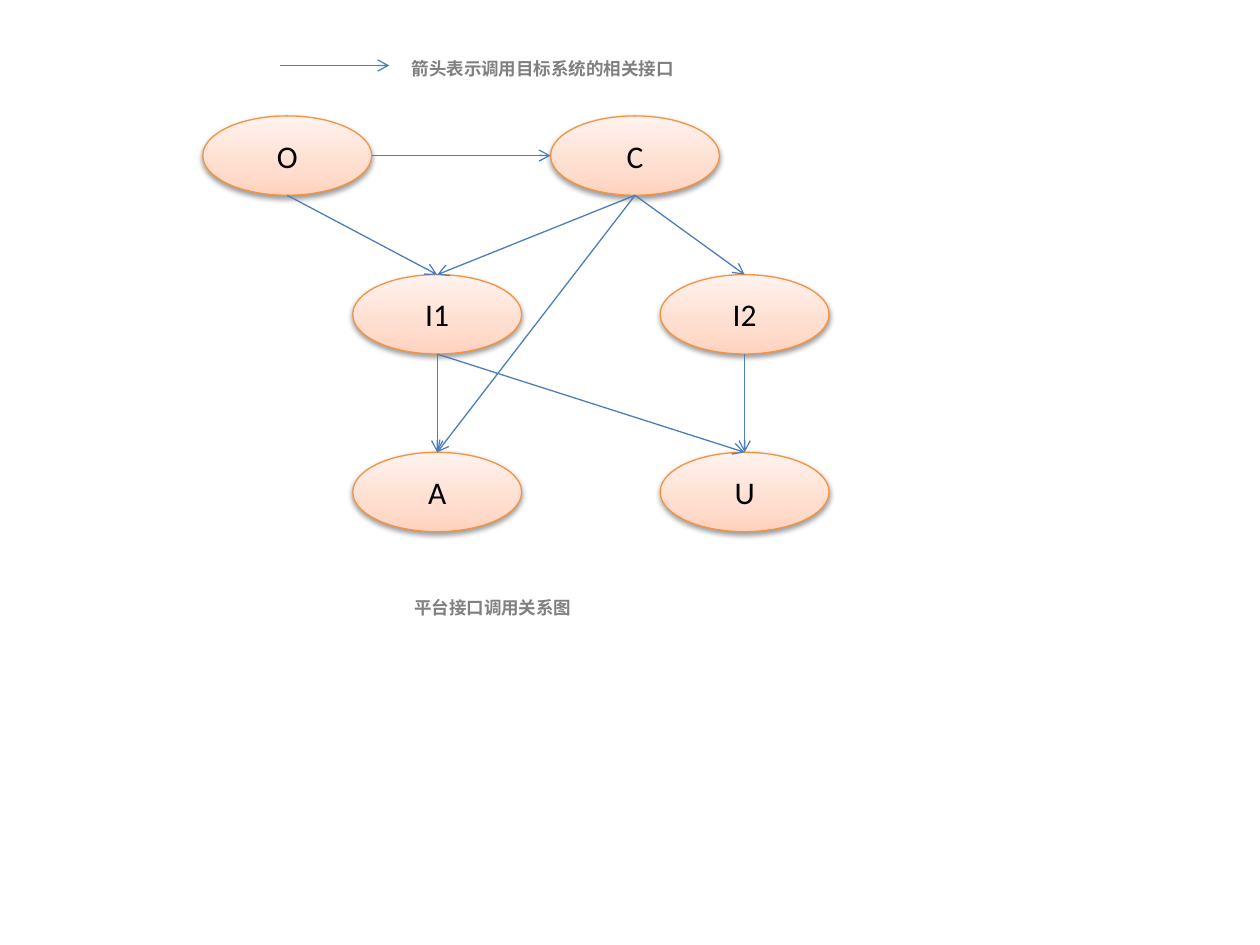
from pptx import Presentation
from pptx.dml.color import RGBColor
from pptx.enum.shapes import MSO_CONNECTOR, MSO_SHAPE
from pptx.enum.text import MSO_ANCHOR, MSO_AUTO_SIZE, PP_ALIGN
from pptx.oxml import parse_xml
from pptx.oxml.ns import nsdecls
from pptx.util import Inches, Pt

# Content: system name -> left and top in inches
ROWS = (0.92, 2.18, 3.59)
SYSTEMS = {
    "C": (4.37, ROWS[0]), "O": (1.61, ROWS[0]),
    "I2": (5.24, ROWS[1]), "I1": (2.8, ROWS[1]),
    "U": (5.24, ROWS[2]), "A": (2.8, ROWS[2]),
}
CALLS = [("O", "C"), ("O", "I1"), ("I1", "A"), ("I1", "U"),
         ("C", "I1"), ("I2", "U"), ("C", "I2"), ("C", "A")]
LEGEND_ARROW = ((2.22, 0.52), (3.09, 0.52))
LABELS = [("箭头表示调用目标系统的相关接口", 3.17, 0.41, 2.31),
          ("平台接口调用关系图", 3.19, 4.69, 1.46)]

# Style
WIDTH, HEIGHT, LABEL_HEIGHT = 1.34, 0.63, 0.27
FONT = "Calibri"
BLACK = RGBColor(0x00, 0x00, 0x00)
GREY = RGBColor(0x80, 0x80, 0x80)
ORANGE = RGBColor(0xF6, 0x92, 0x40)
BLUE = RGBColor(0x4B, 0x7E, 0xBC)
PEACH_STOPS = [(0, "FFD2BD"), (35, "FFDED0"), (100, "FFF2ED")]

presentation = Presentation()
presentation.slide_width, presentation.slide_height = Inches(10), Inches(7.5)
slide = presentation.slides.add_slide(presentation.slide_layouts[6])


def format_text(paragraph, text, size, color, bold=False):
    paragraph.text = text
    font = paragraph.font
    font.name, font.size, font.bold = FONT, Pt(size), bold
    font.color.rgb = color


def add_system(name, left, top):
    shape = slide.shapes.add_shape(MSO_SHAPE.OVAL, Inches(left), Inches(top),
                                   Inches(WIDTH), Inches(HEIGHT))
    shape.line.color.rgb = ORANGE
    shape.line.width = Pt(0.75)
    # Three-stop gradient and soft shadow below
    stops = "".join(f'<a:gs pos="{position * 1000}"><a:srgbClr val="{color}"/></a:gs>'
                    for position, color in PEACH_STOPS)
    properties = shape.element.spPr
    properties.insert(2, parse_xml(
        f'<a:gradFill {nsdecls("a")} rotWithShape="1"><a:gsLst>{stops}</a:gsLst>'
        '<a:lin ang="16200000" scaled="1"/></a:gradFill>'))
    properties.append(parse_xml(
        f'<a:effectLst {nsdecls("a")}><a:outerShdw blurRad="{Pt(3.1)}" dist="{Pt(1.6)}" '
        'dir="5400000" rotWithShape="0"><a:srgbClr val="000000">'
        '<a:alpha val="38000"/></a:srgbClr></a:outerShdw></a:effectLst>'))
    frame = shape.text_frame
    frame.vertical_anchor = MSO_ANCHOR.MIDDLE
    frame.paragraphs[0].alignment = PP_ALIGN.CENTER
    format_text(frame.paragraphs[0], name, 18, BLACK)


def add_arrow(start, end):
    arrow = slide.shapes.add_connector(
        MSO_CONNECTOR.STRAIGHT, *(Inches(value) for value in (*start, *end)))
    arrow.line.color.rgb = BLUE
    arrow.line.width = Pt(0.75)
    arrow.line._get_or_add_ln().append(
        parse_xml(f'<a:tailEnd {nsdecls("a")} type="arrow"/>'))
    arrow.element.spPr.append(parse_xml(f'<a:effectLst {nsdecls("a")}/>'))


def call_ends(source, target):
    """Join sides within a row, otherwise bottom to top."""
    (x1, y1), (x2, y2) = SYSTEMS[source], SYSTEMS[target]
    if y1 == y2:
        return (x1 + WIDTH, y1 + HEIGHT / 2), (x2, y2 + HEIGHT / 2)
    return (x1 + WIDTH / 2, y1 + HEIGHT), (x2 + WIDTH / 2, y2)


# Systems
for name, (left, top) in SYSTEMS.items():
    add_system(name, left, top)

# Calls and legend arrow
for start, end in [call_ends(*call) for call in CALLS] + [LEGEND_ARROW]:
    add_arrow(start, end)

# Legend text and caption
for text, left, top, width in LABELS:
    box = slide.shapes.add_textbox(Inches(left), Inches(top),
                                   Inches(width), Inches(LABEL_HEIGHT))
    box.text_frame.word_wrap = False
    box.text_frame.auto_size = MSO_AUTO_SIZE.SHAPE_TO_FIT_TEXT
    format_text(box.text_frame.paragraphs[0], text, 10, GREY, bold=True)

presentation.save("out.pptx")
